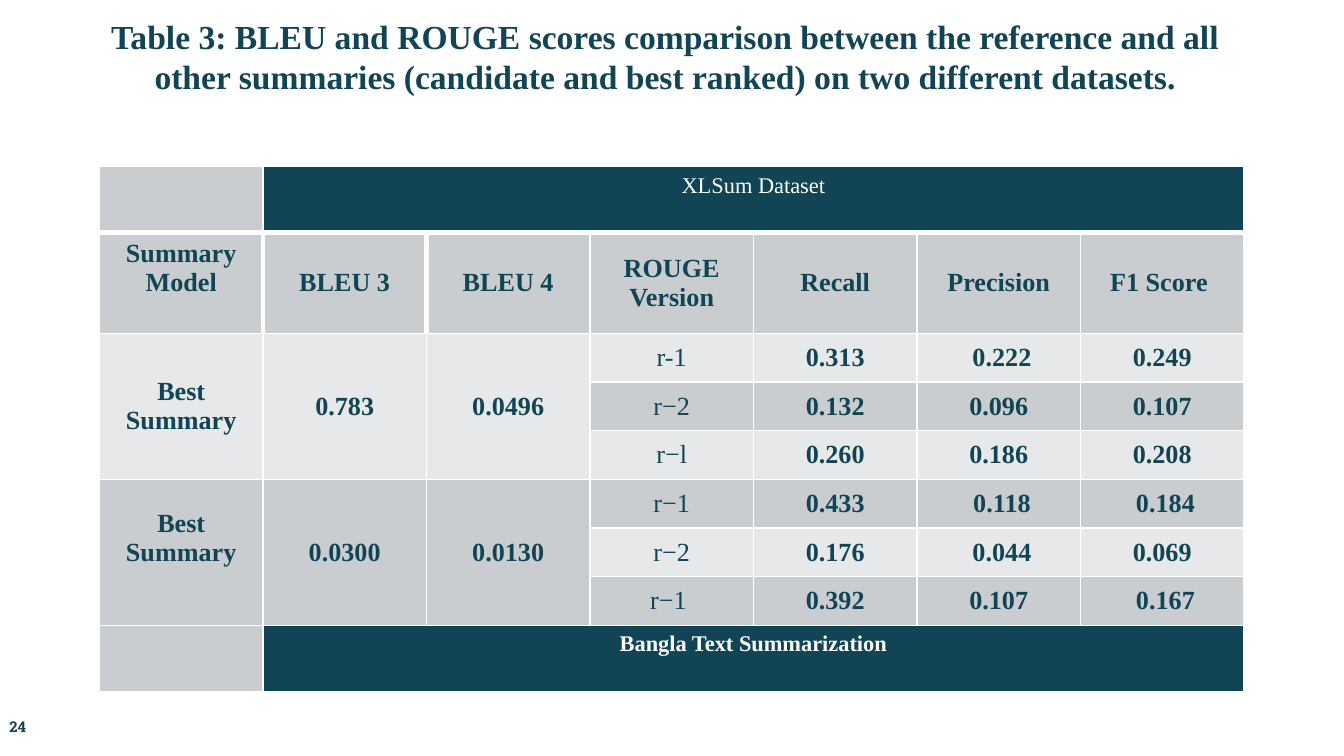
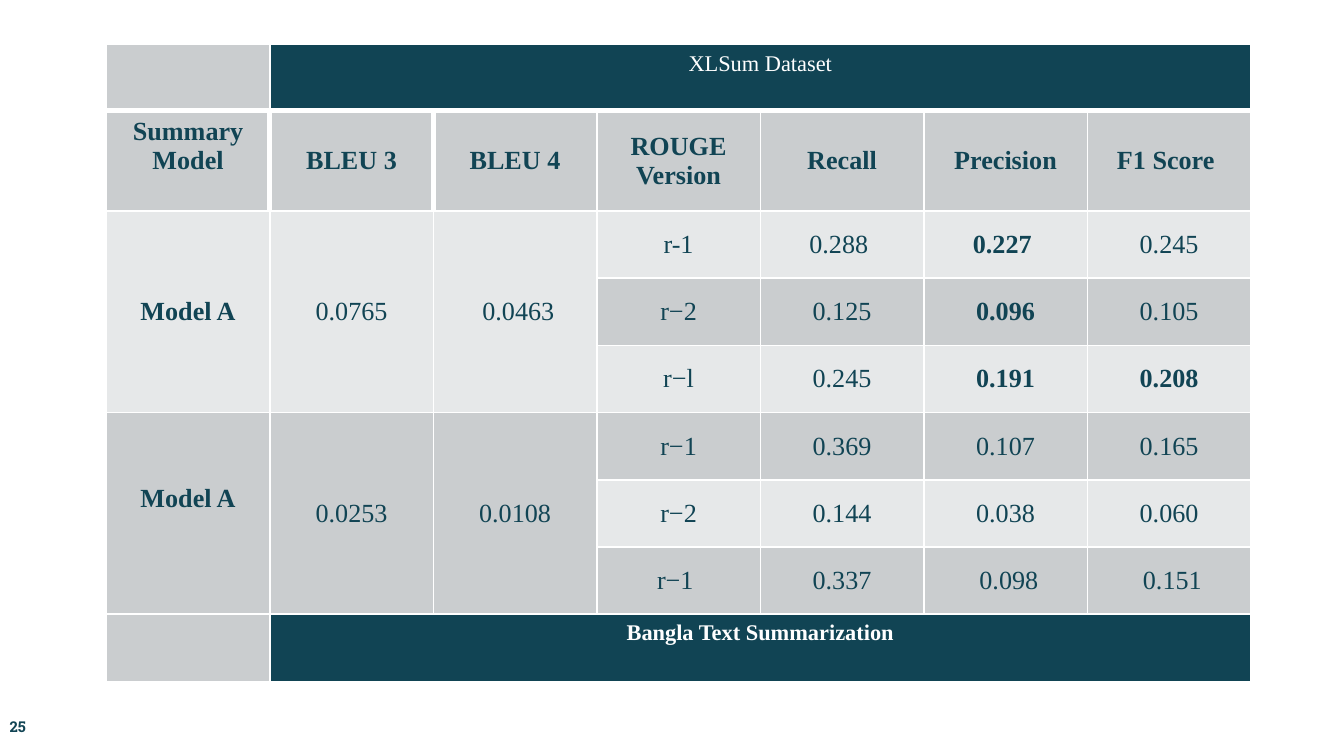
from dataclasses import dataclass
from typing import Any

import pptx
import pptx.dml.color
import pptx.enum.text
import pptx.oxml
import pptx.oxml.ns
import pptx.util
from pptx.util import Cm

COLOURS = {"teal": "114454", "grey": "CACDCF", "pale": "E6E8E9", "white": "FFFFFF"}
SERIF, SLAB = "Times New Roman", "Roboto Slab"
TOP = pptx.enum.text.MSO_ANCHOR.TOP
MIDDLE = pptx.enum.text.MSO_ANCHOR.MIDDLE

TITLE_ONLY, BLANK = 5, 6
COLUMN_WIDTH = Cm(3.09)
HEADINGS = ["Summary Model", "BLEU 3", "BLEU 4", "ROUGE Version",
            "Recall", "Precision", "F1 Score "]
VERSIONS = ["r-1", "r−2", "r−l", "r−1", "r−2", "r−1 "]
FIRST_SCORE_ROW, GROUP_SIZE = 2, 3
FOOTER_ROW = FIRST_SCORE_ROW + len(VERSIONS)


@dataclass(frozen=True)
class ModelGroup:
    model: str
    bleu_3: str
    bleu_4: str
    rouge: list[tuple[str, str, str]]  # recall, precision, F1


@dataclass(frozen=True)
class ScoreSlide:
    number: str
    title: str
    left: float  # cm
    top: float
    score_height: float
    footer_height: float
    groups: list[ModelGroup]
    bold_columns: frozenset[int]
    bold_scores: frozenset[tuple[int, int]] = frozenset()


SLIDES = [
    ScoreSlide(
        "24",
        "Table 3: BLEU and ROUGE scores comparison between the reference and all "
        "other summaries (candidate and best ranked) on two different datasets.",
        1.88, 3.15, 0.92, 1.25,
        [
            ModelGroup("Best Summary", "0.783", "0.0496", [
                ("0.313", " 0.222", "0.249"),
                ("0.132", "0.096", "0.107"),
                ("0.260", "0.186", "0.208")]),
            ModelGroup("Best Summary", "0.0300", "0.0130", [
                ("0.433", " 0.118", " 0.184"),
                ("0.176", " 0.044", "0.069"),
                ("0.392", "0.107", " 0.167")]),
        ],
        bold_columns=frozenset({0, 1, 2, 4, 5, 6}),
    ),
    ScoreSlide(
        "25", "", 2.01, 0.84, 1.27, 1.27,
        [
            ModelGroup("Model A", "0.0765", " 0.0463", [
                ("0.288 ", "0.227 ", "0.245"),
                ("0.125", "0.096", "0.105"),
                ("0.245", "0.191", "0.208")]),
            ModelGroup("Model A", "0.0253", "0.0108", [
                ("0.369", "0.107", "0.165"),
                ("0.144", "0.038", "0.060"),
                ("0.337", " 0.098", " 0.151")]),
        ],
        bold_columns=frozenset({0}),
        bold_scores=frozenset({(2, 5), (3, 5), (4, 5), (4, 6)}),
    ),
]


def rgb(name: str) -> pptx.dml.color.RGBColor:
    return pptx.dml.color.RGBColor.from_string(COLOURS[name])


def write(frame: Any, text: str, *, size: float = 14, font: str = SERIF,
          colour: str = "teal", bold: bool = True) -> None:
    """Put one centred, formatted line of text in a frame."""
    frame.word_wrap = True
    paragraph = frame.paragraphs[0]
    paragraph.alignment = pptx.enum.text.PP_ALIGN.CENTER
    run = paragraph.add_run()
    run.text = text
    run.font.size = pptx.util.Pt(size)
    run.font.name = font
    run.font.bold = bold
    run.font.color.rgb = rgb(colour)


def set_borders(cell: Any, row: int, column: int) -> None:
    """White rules, heavier below the banner and around the BLEU 3 heading."""
    heavy = {
        "L": row == 1 and column in (1, 2),
        "R": row == 1 and column in (0, 1),
        "T": row == 1,
        "B": row == 0,
    }
    properties = cell._tc.get_or_add_tcPr()
    for side, is_heavy in heavy.items():
        width = pptx.util.Pt(3 if is_heavy else 1)
        properties.append(pptx.oxml.parse_xml(
            f'<a:ln{side} {pptx.oxml.ns.nsdecls("a")} w="{width}"><a:solidFill>'
            f'<a:srgbClr val="{COLOURS["white"]}"/></a:solidFill></a:ln{side}>'))


def table_rows(content: ScoreSlide) -> list[list[str]]:
    """Lay the banner, headings, scores and footer out as rows of text."""
    blanks = [""] * (len(HEADINGS) - 2)
    rows = [["", "XLSum Dataset", *blanks], HEADINGS]
    for index, version in enumerate(VERSIONS):
        group = content.groups[index // GROUP_SIZE]
        position = index % GROUP_SIZE
        lead = ["", "", ""] if position else [group.model, group.bleu_3, group.bleu_4]
        rows.append([*lead, version, *group.rouge[position]])
    return rows + [["", "Bangla Text Summarization", *blanks]]


def add_scores(slide: Any, content: ScoreSlide) -> None:
    rows = table_rows(content)
    heights = [Cm(1.25), Cm(1.9), *[Cm(content.score_height)] * len(VERSIONS),
               Cm(content.footer_height)]
    scores = slide.shapes.add_table(
        len(rows), len(HEADINGS), Cm(content.left), Cm(content.top),
        COLUMN_WIDTH * len(HEADINGS), sum(heights)).table
    scores.first_row = scores.horz_banding = False
    for column in scores.columns:
        column.width = COLUMN_WIDTH
    for row, height in zip(scores.rows, heights):
        row.height = height

    # Cell text, fills and rules
    for row, texts in enumerate(rows):
        banner_row = row in (0, FOOTER_ROW)
        for column, text in enumerate(texts):
            cell = scores.cell(row, column)
            set_borders(cell, row, column)
            banner = banner_row and column > 0
            pale = not banner_row and row > 1 and row % 2 == 0
            if column < 3 and FIRST_SCORE_ROW <= row < FOOTER_ROW:
                pale = row < FIRST_SCORE_ROW + GROUP_SIZE
            cell.fill.solid()
            cell.fill.fore_color.rgb = rgb("teal" if banner else "pale" if pale else "grey")
            at_top = banner_row or (row, column) == (1, 0)
            cell.vertical_anchor = TOP if at_top else MIDDLE
            if banner:
                write(cell.text_frame, text, size=12, colour="white", bold=row > 0)
            else:
                bold = (row == 1 or column in content.bold_columns
                        or (row, column) in content.bold_scores)
                write(cell.text_frame, text, bold=bold)

    # The second model name sits a little above the middle
    scores.cell(FIRST_SCORE_ROW + GROUP_SIZE, 0).margin_bottom = Cm(0.67)

    # Merged banners and model groups
    for row in (0, FOOTER_ROW):
        scores.cell(row, 1).merge(scores.cell(row, len(HEADINGS) - 1))
    for row in range(FIRST_SCORE_ROW, FOOTER_ROW, GROUP_SIZE):
        for column in range(3):
            scores.cell(row, column).merge(scores.cell(row + GROUP_SIZE - 1, column))


def place_title(slide: Any, text: str) -> None:
    title = slide.shapes.title
    title.left, title.top, title.width, title.height = Cm(1.5), Cm(0.36), Cm(22.15), Cm(2.1)
    frame = title.text_frame
    frame.auto_size = pptx.enum.text.MSO_AUTO_SIZE.NONE
    frame.vertical_anchor = MIDDLE
    frame.margin_top, frame.margin_bottom = Cm(0), Cm(0.69)
    write(frame, text, size=18)


def add_page_number(slide: Any, number: str) -> None:
    frame = slide.shapes.add_textbox(Cm(-0.15), Cm(13.39), Cm(0.97), Cm(0.89)).text_frame
    frame.margin_left = frame.margin_right = Cm(0.25)
    frame.margin_top = frame.margin_bottom = Cm(0.25)
    write(frame, number, size=8, font=SLAB)


def main() -> None:
    deck = pptx.Presentation()
    deck.slide_width, deck.slide_height = Cm(25.4), Cm(14.29)
    for content in SLIDES:
        layout = deck.slide_layouts[TITLE_ONLY if content.title else BLANK]
        slide = deck.slides.add_slide(layout)
        if content.title:
            place_title(slide, content.title)
        add_scores(slide, content)
        add_page_number(slide, content.number)
    deck.save("out.pptx")


if __name__ == "__main__":
    main()
